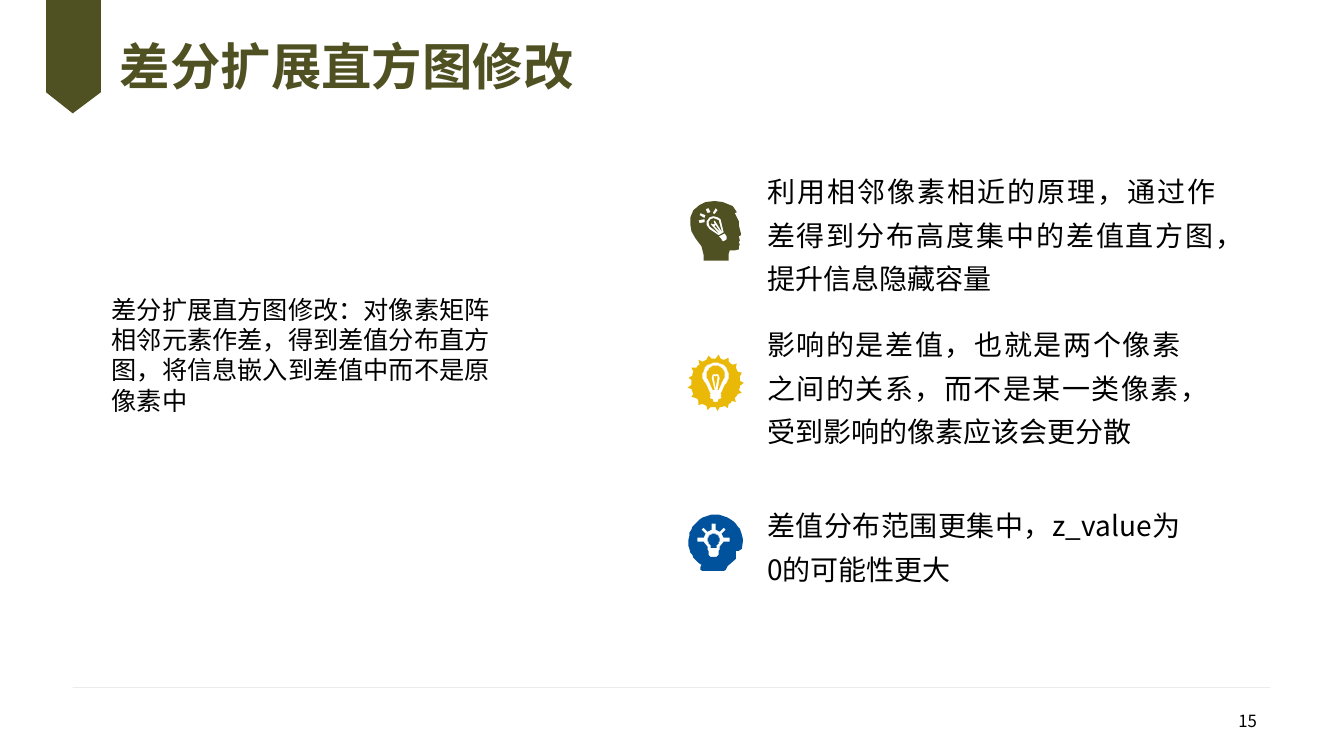
from dataclasses import dataclass
from math import cos, radians, sin

from lxml import etree
from pptx import Presentation
from pptx.dml.color import RGBColor
from pptx.enum import shapes, text
from pptx.oxml import ns
from pptx.util import Pt


@dataclass(frozen=True)
class Theme:
    font: str = "Noto Sans CJK SC"
    olive: str = "505122"
    gold: str = "EAB908"
    blue: str = "00529D"
    black: str = "000000"
    rule: str = "BFBFBF"
    title: int = 36
    point: int = 20
    body: int = 18
    page: int = 12


THEME = Theme()
UNIT = Pt(0.72)  # grid step of the icon outlines
LEFT, MID = text.PP_ALIGN.LEFT, text.MSO_ANCHOR.MIDDLE


def add_text(slide, words, box, size, color=THEME.black, bold=False,
             align=LEFT, anchor=MID, space=None, pad=(7.2, 3.6), grow=False):
    shape = slide.shapes.add_textbox(*map(Pt, box))
    frame = shape.text_frame
    frame.word_wrap = True
    frame.vertical_anchor = anchor
    frame.margin_left = frame.margin_right = Pt(pad[0])
    frame.margin_top = frame.margin_bottom = Pt(pad[1])
    if grow:
        frame.auto_size = text.MSO_AUTO_SIZE.SHAPE_TO_FIT_TEXT
    para = frame.paragraphs[0]
    para.alignment = align
    para.line_spacing = space
    run = para.add_run()
    run.text = words
    font = run.font
    font.name, font.size, font.bold = THEME.font, Pt(size), bold
    font.color.rgb = RGBColor.from_string(color)
    # East Asian typeface
    props = run._r.get_or_add_rPr()
    etree.SubElement(props, ns.qn("a:ea"), typeface=THEME.font)


def add_form(slide, loops, color, left=0, top=0, scale=UNIT):
    """Draw closed loops as one outline; inner loops are holes."""
    pen = slide.shapes.build_freeform(*loops[0][0], scale=scale)
    pen.add_line_segments(loops[0][1:])
    for loop in loops[1:]:
        pen.move_to(*loop[0])
        pen.add_line_segments(loop[1:])
    form = pen.convert_to_shape(Pt(left), Pt(top))
    form.shadow.inherit = False
    form.fill.solid()
    form.fill.fore_color.rgb = RGBColor.from_string(color)
    form.line.fill.background()


def add_rule(slide, left, right, top):
    line = slide.shapes.add_connector(
        shapes.MSO_CONNECTOR.STRAIGHT, Pt(left), Pt(top), Pt(right), Pt(top))
    line.line.width = Pt(0.25)
    line.line.color.rgb = RGBColor.from_string(THEME.rule)
    tint = line.line._ln.find(".//" + ns.qn("a:srgbClr"))
    etree.SubElement(tint, ns.qn("a:alpha"), val="47000")
    etree.SubElement(line._element.spPr, ns.qn("a:effectLst"))


def polar(x, y, radius, angle):
    turn = radians(angle)
    return x + radius * cos(turn), y + radius * sin(turn)


def arc(x, y, radius, start, end, step=6):
    return [polar(x, y, radius, a) for a in range(start, end + 1, step)]


def head_loops():
    head = [(24, 0), (32, 1), (37, 3), (42, 5), (46, 11), (44, 12), (48, 20),
            (48, 24), (50, 32), (50, 34), (48, 35), (49, 39), (48, 41),
            (49, 43), (48, 45), (48, 48), (44, 49), (39, 49), (38, 52),
            (38, 59), (13, 59), (13, 53), (11, 45), (5, 37), (1, 30), (0, 24),
            (0, 16), (3, 9), (9, 4), (15, 1)]
    bulb = [(23, 15), (19, 16), (16, 20), (16, 24), (19, 28), (28, 34),
            (33, 31), (30, 18), (27, 16)]
    glass = [(23, 17), (28, 19), (31, 30), (24, 19), (23, 20), (24, 23),
             (22, 23), (21, 22), (20, 23), (28, 32), (19, 25), (18, 21),
             (20, 18)]
    wire = [(25, 24), (29, 30), (24, 25)]
    base = [(34, 32), (28, 35), (31, 38), (31, 39), (33, 40), (36, 38),
            (36, 35)]
    rays = [[(14, 18), (8, 19), (9, 22), (14, 21)],
            [(10, 12), (9, 14), (14, 17), (15, 14)],
            [(25, 7), (22, 12), (24, 13), (27, 9)],
            [(18, 7), (15, 8), (17, 12), (20, 11)]]
    return [head, bulb, glass, wire, base, *rays]


def badge_loops():
    teeth, start = 17, -84
    rim = [polar(0, 0, 28 if i % 4 == 0 else 24.5, start + i * 90 / teeth)
           for i in range(teeth * 4)]
    bulb = arc(0, -7, 13, 150, 390) + [
        (9, 2), (6, 9), (5, 11), (6, 12), (5, 13), (6, 15), (4, 16), (3, 16),
        (2, 19), (-2, 19), (-3, 16), (-4, 16), (-6, 15), (-5, 13), (-6, 12),
        (-5, 11), (-6, 9), (-9, 2)]
    glass = arc(0, -8, 9, 156, 384) + [
        (6, 0), (3, 7), (2, 7), (4, -5), (3, -8), (1, -9), (0, -8), (-1, -9),
        (-3, -8), (-4, -5), (-1, 7), (-3, 7), (-6, 0)]
    wire = [(-2, -6), (-1, -7), (0, -6), (1, -7), (2, -6), (0, 5)]
    return [rim, bulb, glass, wire]


def mind_loops():
    head = arc(0, 0, 27, 122, 360, 7) + [
        (27, 0), (26, 7), (23, 9), (20, 9), (20, 17), (19, 18), (12, 24),
        (10, 28), (8, 29), (-13, 29), (-15, 28), (-15, 25)]
    lamp = [polar(-2, -2, radius, ray + turn)
            for ray in range(180, 361, 45)
            for turn, radius in ((-10, 10), (-6, 16), (6, 16), (10, 10))]
    lamp += [(4, 5), (4, 8), (3, 9), (3, 13), (1, 15), (-5, 15), (-7, 13),
             (-7, 9), (-8, 8), (-8, 5)]
    glass = arc(-2, -2, 6, 120, 420) + [(1, 6), (-5, 6)]
    return [head, lamp, glass]


def main():
    deck = Presentation()
    deck.slide_width, deck.slide_height = Pt(960), Pt(540)
    slide = deck.slides.add_slide(deck.slide_layouts[6])

    # Frame: rule, ribbon, title and page number
    add_rule(slide, 51.84, 907.2, 491.2)
    ribbon = [(32.6, 0), (71.6, 0), (71.6, 65.5), (52.1, 81.4), (32.6, 65.5)]
    add_form(slide, [ribbon], THEME.olive, scale=Pt(1))
    add_text(slide, "差分扩展直方图修改", (85.7, 18.7, 643, 61.9), THEME.title,
             THEME.olive, bold=True, space=0.9, pad=(0, 0))
    add_text(slide, "15", (689, 500.4, 216, 28.8), THEME.page,
             align=text.PP_ALIGN.RIGHT)

    # Definition on the left
    add_text(slide, "差分扩展直方图修改：对像素矩阵相邻元素作差，得到差值分布直方图，"
             "将信息嵌入到差值中而不是原像素中", (72.7, 206.6, 295.2, 94.3),
             THEME.body, anchor=text.MSO_ANCHOR.TOP, grow=True)

    # Points on the right: icon, its place, text top and width, words
    points = [
        (head_loops(), THEME.olive, 493.2, 143.6, 115.2, 320.4,
         "利用相邻像素相近的原理，通过作差得到分布高度集中的差值直方图，"
         "提升信息隐藏容量"),
        (badge_loops(), THEME.gold, 511.2, 273.5, 224.6, 295.2,
         "影响的是差值，也就是两个像素之间的关系，而不是某一类像素，"
         "受到影响的像素应该会更分散"),
        (mind_loops(), THEME.blue, 511.2, 387, 338.4, 295.2,
         "差值分布范围更集中，z_value为0的可能性更大"),
    ]
    for loops, color, left, mark, top, width, words in points:
        add_form(slide, loops, color, left, mark)
        add_text(slide, words, (547.9, top, width, 97.9), THEME.point,
                 align=text.PP_ALIGN.JUSTIFY, space=1.3, pad=(0, 3.6))

    deck.save("out.pptx")


if __name__ == "__main__":
    main()
